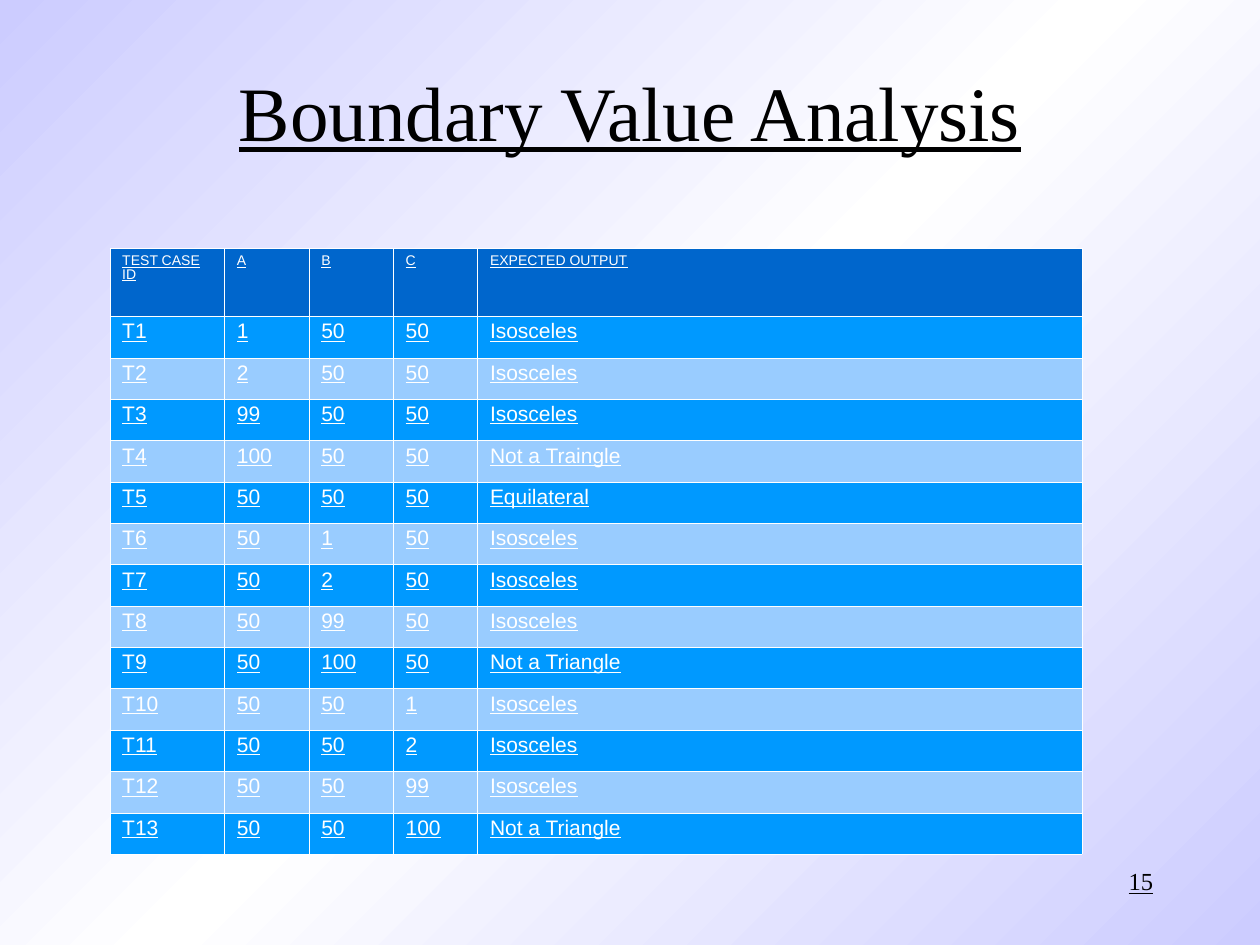
from copy import deepcopy
from dataclasses import dataclass

from lxml.etree import SubElement
from pptx import Presentation
from pptx.dml.color import RGBColor
from pptx.enum.text import MSO_ANCHOR, MSO_AUTO_SIZE, PP_ALIGN
from pptx.oxml.ns import qn
from pptx.util import Inches, Pt


@dataclass(frozen=True)
class Theme:
    ink: str = "000000"
    paper: str = "FFFFFF"
    edge: str = "CCCCFF"
    header: str = "0066CC"
    odd_row: str = "0099FF"
    even_row: str = "99CCFF"
    serif: str = "Times New Roman"
    sans: str = "Arial"
    title_size: int = 44
    number_size: int = 14
    header_size: int = 8
    body_size: int = 12


theme = Theme()


def add_text(paragraph, text, font, size, color):
    run = paragraph.add_run()
    run.text = text
    run.font.name = font
    run.font.size = Pt(size)
    run.font.underline = True
    run.font.color.rgb = RGBColor.from_string(color)


def add_borders(cell):
    properties = cell._tc.get_or_add_tcPr()
    for index, side in enumerate(("a:lnL", "a:lnR", "a:lnT", "a:lnB")):
        border = SubElement(properties, qn(side), w=str(Pt(0.06)))
        fill = SubElement(border, qn("a:solidFill"))
        SubElement(fill, qn("a:srgbClr"), val=theme.paper)
        properties.insert(index, border)


deck = Presentation()
deck.slide_width, deck.slide_height = Inches(10), Inches(7.5)
width, height = deck.slide_width, deck.slide_height
slide = deck.slides.add_slide(deck.slide_layouts[5])

# Background: a white diagonal band between two lavender corners
background = slide.background.fill
background.gradient()
background.gradient_angle = 135
first_stop, last_stop = background.gradient_stops
for stop, position in ((first_stop, 0), (last_stop, 1)):
    stop.position = position
    stop.color.rgb = RGBColor.from_string(theme.edge)
stop_list = slide.background._cSld.find(".//" + qn("a:gsLst"))
stop_list.insert(1, deepcopy(stop_list[0]))
middle_stop = background.gradient_stops[1]
middle_stop.position = 0.5
middle_stop.color.rgb = RGBColor.from_string(theme.paper)

# Title
title = slide.shapes.title
title.left, title.top = int(width * 0.075), int(height / 30)
title.width, title.height = int(width * 0.85), int(height / 6)
title.text_frame.auto_size = MSO_AUTO_SIZE.NONE
title.text_frame.vertical_anchor = MSO_ANCHOR.MIDDLE
heading = title.text_frame.paragraphs[0]
heading.alignment = PP_ALIGN.CENTER
add_text(heading, "Boundary Value Analysis", theme.serif, theme.title_size, theme.ink)

# Page number
page_number = slide.shapes.add_textbox(
    int(width * 0.717), int(height * 0.91), int(width * 0.208), int(height / 15))
page_number.text_frame.word_wrap = True
number_line = page_number.text_frame.paragraphs[0]
number_line.alignment = PP_ALIGN.RIGHT
add_text(number_line, "15", theme.serif, theme.number_size, theme.ink)

# Test cases
test_cases = [
    ("TEST CASE ID", "A", "B", "C", "EXPECTED OUTPUT"),
    ("T1", "1", "50", "50", "Isosceles"),
    ("T2", "2", "50", "50", "Isosceles"),
    ("T3", "99", "50", "50", "Isosceles"),
    ("T4", "100", "50", "50", "Not a Traingle"),
    ("T5", "50", "50", "50", "Equilateral"),
    ("T6", "50", "1", "50", "Isosceles"),
    ("T7", "50", "2", "50", "Isosceles"),
    ("T8", "50", "99", "50", "Isosceles"),
    ("T9", "50", "100", "50", "Not a Triangle"),
    ("T10", "50", "50", "1", "Isosceles"),
    ("T11", "50", "50", "2", "Isosceles"),
    ("T12", "50", "50", "99", "Isosceles"),
    ("T13", "50", "50", "100", "Not a Triangle"),
]
column_shares = (0.09, 0.07, 0.07, 0.07, 0.48)
column_widths = [Inches(w) for w in (0.91, 0.67, 0.67, 0.67, 4.8)]
table_height, header_height = Inches(4.81), Inches(0.54)
body_height = (table_height - header_height) // (len(test_cases) - 1)

table = slide.shapes.add_table(
    len(test_cases), len(column_widths), Inches(0.87), Inches(1.97),
    sum(column_widths), table_height).table
for column, column_width in zip(table.columns, column_widths):
    column.width = column_width

for row_index, test_case in enumerate(test_cases):
    is_header = row_index == 0
    table.rows[row_index].height = header_height if is_header else body_height
    band = theme.odd_row if row_index % 2 else theme.even_row
    for column_index, entry in enumerate(test_case):
        cell = table.cell(row_index, column_index)
        cell.fill.solid()
        cell.fill.fore_color.rgb = RGBColor.from_string(theme.header if is_header else band)
        add_borders(cell)
        line = cell.text_frame.paragraphs[0]
        line.line_spacing = 0.87
        add_text(line, entry, theme.sans,
                 theme.header_size if is_header else theme.body_size, theme.paper)

deck.save("out.pptx")
